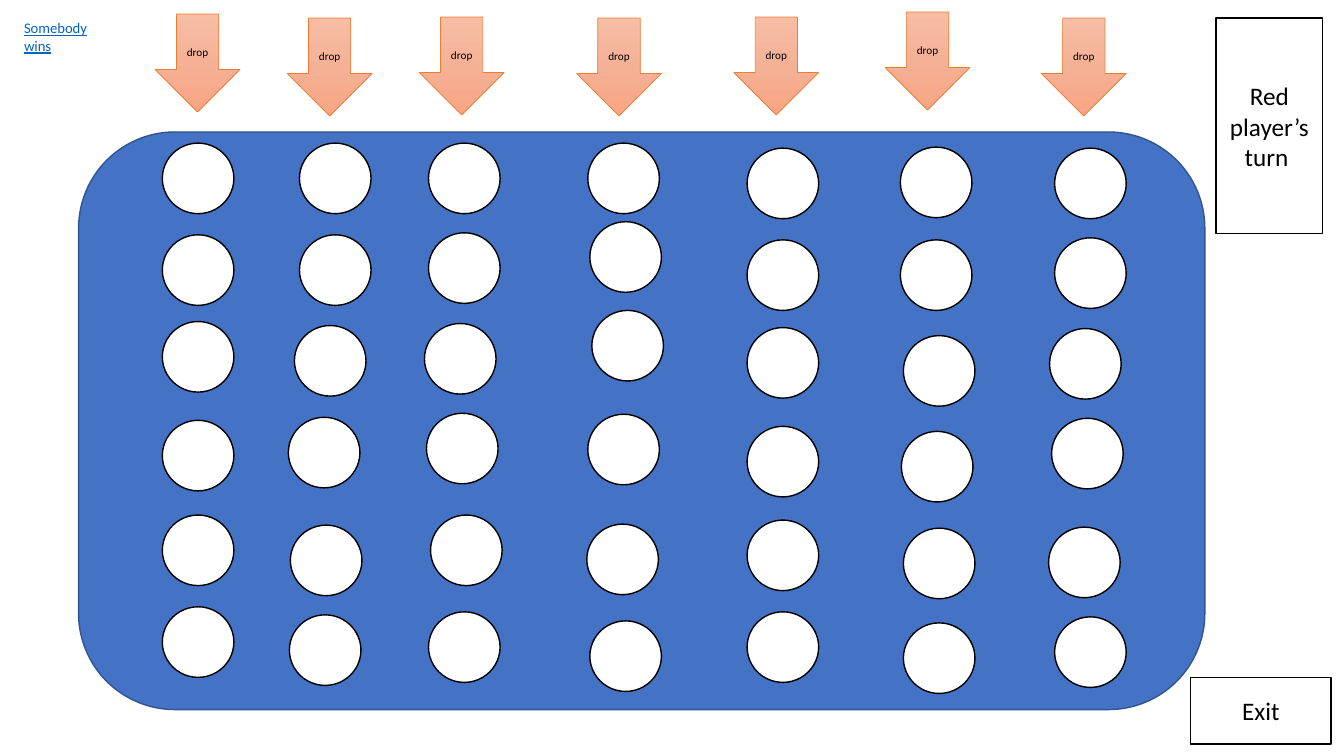
import copy
import dataclasses
import typing

import pptx
import pptx.dml.color
import pptx.enum.shapes
import pptx.enum.text
import pptx.oxml.ns
import pptx.util

Inches = pptx.util.Inches
SHAPE = pptx.enum.shapes.MSO_SHAPE
FONT = "Calibri"
COLORS = {
    "board": "4472C4",
    "board_line": "325491",
    "white": "FFFFFF",
    "black": "000000",
    "arrow_line": "ED7D31",
    "arrow_top": "F7BDA5",
    "arrow_middle": "F5B196",
    "arrow_bottom": "F8A582",
    "link": "0563C1",
}
HOLE_SIZE = (0.71, 0.7)
ARROW_SIZE = (0.84, 0.97)
ARROW_STOPS = ((0, "arrow_top"), (0.5, "arrow_middle"), (1, "arrow_bottom"))


@dataclasses.dataclass
class Column:
    """A drop arrow and the holes below it, from top to bottom."""
    arrow: tuple[float, float]
    lefts: tuple[float, ...]
    tops: tuple[float, ...]


@dataclasses.dataclass
class Box:
    text: str
    at: tuple[float, float, float, float]


COLUMNS = [
    Column((1.54, 0.14), (1.61,) * 6, (1.42, 2.33, 3.19, 4.17, 5.11, 6.02)),
    Column((2.85, 0.18), (2.97, 2.97, 2.92, 2.86, 2.88, 2.87),
           (1.42, 2.33, 3.23, 4.14, 5.21, 6.1)),
    Column((4.16, 0.17), (4.25, 4.25, 4.21, 4.23, 4.27, 4.25),
           (1.42, 2.31, 3.21, 4.1, 5.11, 6.07)),
    Column((5.72, 0.18), (5.83, 5.85, 5.87, 5.83, 5.82, 5.85),
           (1.42, 2.2, 3.08, 4.11, 5.2, 6.16)),
    Column((7.28, 0.17), (7.41,) * 6, (1.47, 2.38, 3.25, 4.23, 5.16, 6.07)),
    Column((8.78, 0.12), (8.93, 8.93, 8.96, 8.94, 8.96, 8.96),
           (1.46, 2.38, 3.33, 4.28, 5.24, 6.18)),
    Column((10.33, 0.18), (10.46, 10.46, 10.41, 10.43, 10.4, 10.46),
           (1.47, 2.36, 3.26, 4.15, 5.23, 6.12)),
]
BOXES = [
    Box("Exit", (11.81, 6.72, 1.39, 0.66)),
    Box("Red player’s turn ", (12.06, 0.18, 1.06, 2.14)),
]


def rgb(name: str) -> pptx.dml.color.RGBColor:
    return pptx.dml.color.RGBColor.from_string(COLORS[name])


def add_text(sp: typing.Any, text: str, *, size: float, color: str = "black",
             align: str = "CENTER", anchor: str = "MIDDLE",
             underline: bool = False) -> None:
    tf = sp.text_frame
    tf.word_wrap = True
    tf.vertical_anchor = pptx.enum.text.MSO_ANCHOR[anchor]
    p = tf.paragraphs[0]
    p.alignment = pptx.enum.text.PP_ALIGN[align]
    r = p.add_run()
    r.text = text
    r.font.name = FONT
    r.font.size = pptx.util.Pt(size)
    r.font.color.rgb = rgb(color)
    if underline:
        r.font.underline = True


def add_shape(s: typing.Any, kind: typing.Any, at: tuple[float, ...], *,
              fill: str = "white", line: str = "black",
              width: float = 1) -> typing.Any:
    sp = s.shapes.add_shape(kind, *map(Inches, at))
    sp.shadow.inherit = False
    sp.fill.solid()
    sp.fill.fore_color.rgb = rgb(fill)
    sp.line.color.rgb = rgb(line)
    sp.line.width = pptx.util.Pt(width)
    return sp


def add_arrow(s: typing.Any, at: tuple[float, float]) -> None:
    sp = add_shape(s, SHAPE.DOWN_ARROW, at + ARROW_SIZE,
                   line="arrow_line", width=0.5)
    sp.fill.gradient()
    sp.fill.gradient_angle = 270
    # A new gradient has two stops; the arrow needs a third
    stops = sp._element.spPr.find(".//" + pptx.oxml.ns.qn("a:gsLst"))
    stops.append(copy.deepcopy(stops[0]))
    for stop, (position, color) in zip(sp.fill.gradient_stops, ARROW_STOPS):
        stop.position = position
        stop.color.rgb = rgb(color)
    add_text(sp, "drop", size=8)


def main() -> None:
    prs = pptx.Presentation()
    prs.slide_width, prs.slide_height = Inches(13.33), Inches(7.5)
    s = prs.slides.add_slide(prs.slide_layouts[6])

    # Board
    add_shape(s, SHAPE.ROUNDED_RECTANGLE, (0.78, 1.31, 11.17, 5.73),
              fill="board", line="board_line")

    # Drop arrows and holes
    for column in COLUMNS:
        add_arrow(s, column.arrow)
        for hole in zip(column.lefts, column.tops):
            add_shape(s, SHAPE.OVAL, hole + HOLE_SIZE)

    # Exit button and turn indicator
    for box in BOXES:
        add_text(add_shape(s, SHAPE.RECTANGLE, box.at), box.text, size=18)

    # Win label
    label = s.shapes.add_textbox(*map(Inches, (0.14, 0.14, 1.03, 0.47)))
    add_text(label, "Somebody wins", size=10.5, color="link",
             align="LEFT", anchor="TOP", underline=True)
    label.text_frame.auto_size = pptx.enum.text.MSO_AUTO_SIZE.SHAPE_TO_FIT_TEXT

    prs.save("out.pptx")


if __name__ == "__main__":
    main()
